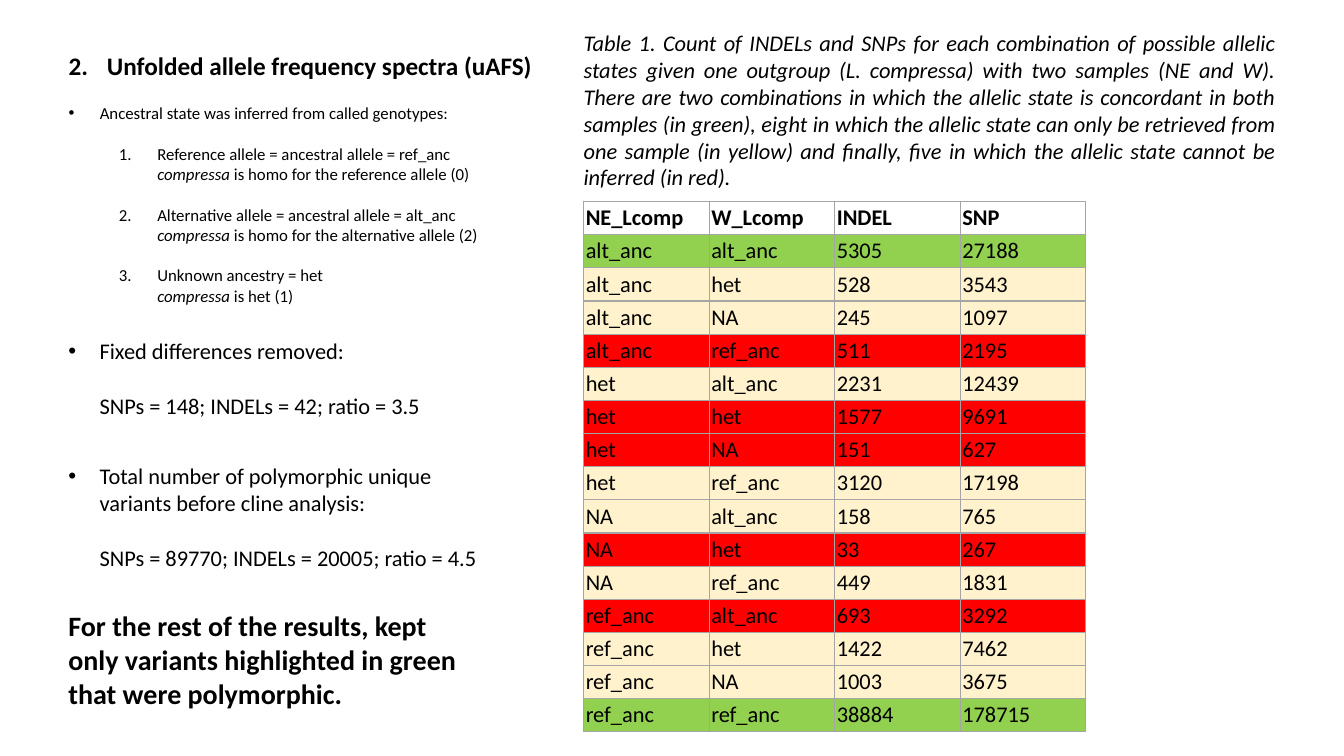
from lxml.etree import SubElement
from pptx import Presentation
from pptx.dml.color import RGBColor
from pptx.enum.text import MSO_ANCHOR, MSO_AUTO_SIZE, PP_ALIGN
from pptx.oxml.ns import qn
from pptx.util import Inches, Pt

BLACK = RGBColor(0x00, 0x00, 0x00)
GREEN = RGBColor(0x92, 0xD0, 0x50)
YELLOW = RGBColor(0xFF, 0xF2, 0xCC)
RED = RGBColor(0xFF, 0x00, 0x00)
GREY = RGBColor(0xA5, 0xA5, 0xA5)

HEADING = "Unfolded allele frequency spectra (uAFS)"
ANCESTRY = "Ancestral state was inferred from called genotypes:"
ANCESTRY_RULES = [
    "Reference allele = ancestral allele = ref_anc\n*compressa* is homo for the reference allele (0)",
    "Alternative allele = ancestral allele = alt_anc\n*compressa* is homo for the alternative allele (2)",
    "Unknown ancestry = het\n*compressa* is het (1)",
]
VARIANT_COUNTS = [
    (3.3, 0.91, "Fixed differences removed:", "SNPs = 148; INDELs = 42; ratio = 3.5"),
    (4.54, 1.18, "Total number of polymorphic unique variants before cline analysis:",
     "SNPs = 89770; INDELs = 20005; ratio = 4.5"),
]
CONCLUSION = ("For the rest of the results, kept only variants highlighted in green "
              "that were polymorphic.")
CAPTION = (
    "Table 1. Count of INDELs and SNPs for each combination of possible allelic states given "
    "one outgroup (L. compressa) with two samples (NE and W). There are two combinations in "
    "which the allelic state is concordant in both samples (in green), eight in which the "
    "allelic state can only be retrieved from one sample (in yellow) and finally, five in "
    "which the allelic state cannot be inferred (in red)."
)
COLUMNS = ("NE_Lcomp", "W_Lcomp", "INDEL", "SNP")
COUNTS = [
    ("alt_anc", "alt_anc", 5305, 27188),
    ("alt_anc", "het", 528, 3543),
    ("alt_anc", "NA", 245, 1097),
    ("alt_anc", "ref_anc", 511, 2195),
    ("het", "alt_anc", 2231, 12439),
    ("het", "het", 1577, 9691),
    ("het", "NA", 151, 627),
    ("het", "ref_anc", 3120, 17198),
    ("NA", "alt_anc", 158, 765),
    ("NA", "het", 33, 267),
    ("NA", "ref_anc", 449, 1831),
    ("ref_anc", "alt_anc", 693, 3292),
    ("ref_anc", "het", 1422, 7462),
    ("ref_anc", "NA", 1003, 3675),
    ("ref_anc", "ref_anc", 38884, 178715),
]
LEFT_EDGE = 0.58
LIST_WIDTH = 4.35
BULLET_INDENT = 0.31
NUMBER_INDENT = 0.38


def write(frame, text, size=16, bold=False, italic=False, align=PP_ALIGN.LEFT, before=0,
          margin=0, hang=0, bullet=None, start=None, level=0):
    """Add one formatted paragraph; asterisks switch italics, newlines break the line."""
    paragraph = frame.paragraphs[-1]
    if paragraph.runs:
        paragraph = frame.add_paragraph()
    paragraph.level = level
    paragraph.alignment = align
    paragraph.space_before = Pt(before)
    properties = paragraph._p.get_or_add_pPr()
    properties.set("marL", str(Inches(margin)))
    properties.set("indent", str(-Inches(hang)))
    if bullet:
        SubElement(properties, qn("a:buFont"), typeface="Arial")
        SubElement(properties, qn("a:buChar"), char=bullet)
    elif start:
        SubElement(properties, qn("a:buFont"), typeface="+mj-lt")
        SubElement(properties, qn("a:buAutoNum"), type="arabicPeriod", startAt=str(start))
    else:
        SubElement(properties, qn("a:buNone"))
    for line_number, line in enumerate(text.split("\n")):
        if line_number:
            paragraph.add_line_break()
        for part_number, part in enumerate(line.split("*")):
            if part:
                run = paragraph.add_run()
                run.text = part
                run.font.name = "Calibri"
                run.font.size = Pt(size)
                run.font.color.rgb = BLACK
                run.font.bold = bold
                run.font.italic = italic or part_number % 2 == 1


def place(shape, left, top, width, height, wrap=True):
    """Move a text shape and return its prepared text frame."""
    shape.left, shape.top = Inches(left), Inches(top)
    shape.width, shape.height = Inches(width), Inches(height)
    frame = shape.text_frame
    frame.word_wrap = wrap
    frame.auto_size = MSO_AUTO_SIZE.SHAPE_TO_FIT_TEXT
    frame.vertical_anchor = MSO_ANCHOR.TOP
    return frame


def text_box(slide, *box):
    """Add an empty text box and return its text frame."""
    return place(slide.shapes.add_textbox(0, 0, 0, 0), *box)


def concordance_colour(ne_state, w_state):
    """Choose the row colour from the ancestral states known in the two samples."""
    known = {ne_state, w_state} & {"alt_anc", "ref_anc"}
    if len(known) != 1:
        return RED
    return GREEN if ne_state == w_state else YELLOW


def add_borders(cell):
    """Draw a thin grey line on every side of a cell."""
    for side in ("a:lnL", "a:lnR", "a:lnT", "a:lnB"):
        line = SubElement(cell._tc.get_or_add_tcPr(), qn(side), w=str(Pt(1)))
        fill = SubElement(line, qn("a:solidFill"))
        SubElement(fill, qn("a:srgbClr"), val=str(GREY))


def add_counts_table(slide, left, top, width, height):
    """Add the table of allelic state combinations."""
    rows = [COLUMNS] + COUNTS
    table = slide.shapes.add_table(len(rows), len(COLUMNS), Inches(left), Inches(top),
                                   Inches(width), Inches(height)).table
    table.first_row = table.horz_banding = False
    for column in table.columns:
        column.width = Inches(width / len(COLUMNS))
    for row_number, values in enumerate(rows):
        table.rows[row_number].height = Inches(height / len(rows))
        for column_number, value in enumerate(values):
            cell = table.cell(row_number, column_number)
            cell.margin_left = cell.margin_right = Inches(0.02)
            cell.margin_top = cell.margin_bottom = Inches(0.02)
            cell.vertical_anchor = MSO_ANCHOR.MIDDLE
            write(cell.text_frame, str(value), bold=row_number == 0)
            add_borders(cell)
            if row_number:
                cell.fill.solid()
                cell.fill.fore_color.rgb = concordance_colour(*values[:2])
            else:
                cell.fill.background()


def main():
    """Build the slide and save it."""
    deck = Presentation()
    deck.slide_width, deck.slide_height = Inches(13.33), Inches(7.5)
    slide = deck.slides.add_slide(deck.slide_layouts[1])

    heading = place(slide.shapes.title, LEFT_EDGE, 0.45, 4.83, 0.4, wrap=False)
    write(heading, HEADING, size=18, bold=True, margin=NUMBER_INDENT, hang=NUMBER_INDENT, start=2)

    ancestry = place(slide.placeholders[1], LEFT_EDGE, 0.97, LIST_WIDTH, 2.12)
    write(ancestry, ANCESTRY, size=12, margin=BULLET_INDENT, hang=BULLET_INDENT, bullet="•")
    for rule in ANCESTRY_RULES:
        write(ancestry, rule, size=12, before=14.65, margin=0.88, hang=NUMBER_INDENT,
              start=1, level=1)

    for top, height, label, counts in VARIANT_COUNTS:
        variants = text_box(slide, LEFT_EDGE, top, LIST_WIDTH, height)
        write(variants, label, margin=BULLET_INDENT, hang=BULLET_INDENT, bullet="•")
        write(variants, counts, before=19.5, margin=BULLET_INDENT)

    write(text_box(slide, LEFT_EDGE, 5.99, 4.12, 1.11), CONCLUSION, size=20, bold=True)
    write(text_box(slide, 5.69, 0.24, 7.06, 1.72), CAPTION, italic=True, align=PP_ALIGN.JUSTIFY)
    add_counts_table(slide, 5.79, 2, 4.98, 5.26)
    deck.save("out.pptx")


if __name__ == "__main__":
    main()
